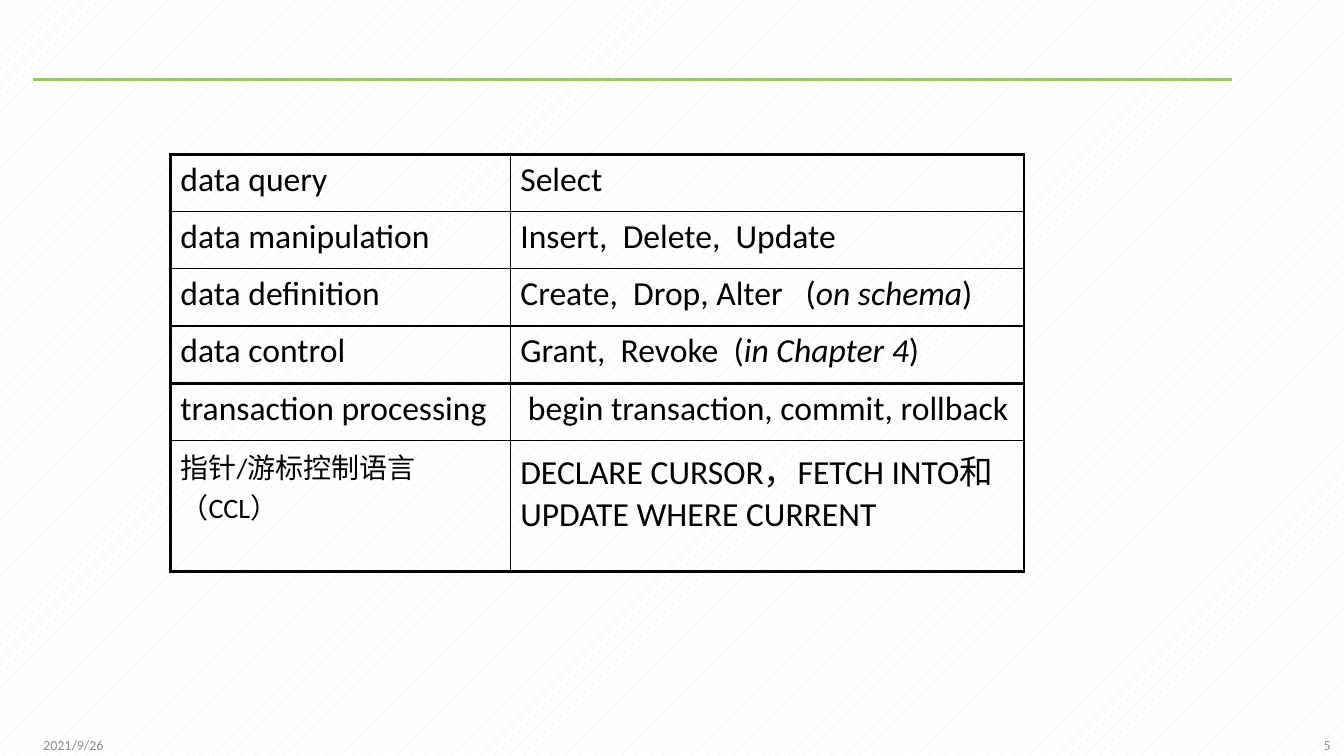
from dataclasses import dataclass

from lxml.etree import SubElement
from pptx import Presentation
from pptx.dml.color import RGBColor
from pptx.enum.dml import MSO_PATTERN
from pptx.enum.shapes import MSO_CONNECTOR
from pptx.enum.text import MSO_ANCHOR, PP_ALIGN
from pptx.oxml.ns import qn
from pptx.util import Pt


@dataclass(frozen=True)
class Theme:
    font: str = "Calibri"
    ink: str = "000000"
    muted: str = "8C8C8C"
    accent: str = "92D050"
    paper: str = "FFFFFF"
    pattern: str = "DCECE0"
    body_size: float = 24
    small_size: float = 20
    footer_size: float = 10
    thick: float = 2.25
    thin: float = 1


class SlideBuilder:
    def __init__(self, slide, theme):
        self.slide = slide
        self.theme = theme

    def background(self):
        fill = self.slide.background.fill
        fill.patterned()
        fill.pattern = MSO_PATTERN.PERCENT_5
        fill.fore_color.rgb = RGBColor.from_string(self.theme.pattern)
        fill.back_color.rgb = RGBColor.from_string(self.theme.paper)

    def rule(self, left, right, top):
        connector = self.slide.shapes.add_connector(
            MSO_CONNECTOR.STRAIGHT, Pt(left), Pt(top), Pt(right), Pt(top))
        connector.line.color.rgb = RGBColor.from_string(self.theme.accent)
        connector.line.width = Pt(self.theme.thick)
        SubElement(connector._element.spPr, qn("a:effectLst"))

    def add_run(self, paragraph, text, size, color, italic=False):
        run = paragraph.add_run()
        run.text = text
        run.font.name = self.theme.font
        run.font.size = Pt(size)
        run.font.italic = italic
        run.font.color.rgb = RGBColor.from_string(color)

    def footer(self, text, left, alignment):
        shape = self.slide.shapes.add_textbox(Pt(left), Pt(517.7), Pt(216), Pt(28.8))
        frame = shape.text_frame
        frame.word_wrap = True
        frame.vertical_anchor = MSO_ANCHOR.MIDDLE
        paragraph = frame.paragraphs[0]
        paragraph.alignment = alignment
        self.add_run(paragraph, text, self.theme.footer_size, self.theme.muted)

    def border(self, cell, side, width):
        line = SubElement(cell._tc.get_or_add_tcPr(), qn(f"a:{side}"),
                          w=str(Pt(width)), cap="flat", cmpd="sng")
        fill = SubElement(line, qn("a:solidFill"))
        SubElement(fill, qn("a:srgbClr"), val=self.theme.ink)

    def table(self, left, top, widths, heights, rows, thick_rules):
        theme = self.theme
        table = self.slide.shapes.add_table(
            len(rows), len(widths), Pt(left), Pt(top),
            Pt(sum(widths)), Pt(sum(heights))).table
        table.first_row = table.horz_banding = False
        for column, width in zip(table.columns, widths):
            column.width = Pt(width)
        for row, height in zip(table.rows, heights):
            row.height = Pt(height)
        for r, row in enumerate(rows):
            for c, (size, *runs) in enumerate(row):
                cell = table.cell(r, c)
                # Heavy frame, light inner rules
                heavy = {"lnL": c == 0, "lnR": c == len(widths) - 1,
                         "lnT": r in thick_rules, "lnB": r + 1 in thick_rules}
                for side, is_heavy in heavy.items():
                    self.border(cell, side, theme.thick if is_heavy else theme.thin)
                cell.fill.background()
                # Every second run is italic
                for index, text in enumerate(runs):
                    self.add_run(cell.text_frame.paragraphs[0], text, size,
                                 theme.ink, italic=index % 2 == 1)


def main():
    presentation = Presentation()
    presentation.slide_width, presentation.slide_height = Pt(960), Pt(540)
    slide = presentation.slides.add_slide(presentation.slide_layouts[6])
    theme = Theme()
    builder = SlideBuilder(slide, theme)

    # Backdrop and header rule
    builder.background()
    builder.rule(left=23.8, right=879.8, top=56.9)

    # Date and slide number
    builder.footer("2021/9/26", 23.8, PP_ALIGN.LEFT)
    builder.footer("5", 741.6, PP_ALIGN.RIGHT)

    # SQL statements by category
    body, small = theme.body_size, theme.small_size
    statements = [
        [(body, "data query"), (body, "Select")],
        [(body, "data manipulation"), (body, "Insert,  Delete,  Update")],
        [(body, "data definition"),
         (body, "Create,  Drop, Alter   (", "on schema", ")")],
        [(body, "data control"), (body, "Grant,  Revoke  (", "in Chapter 4", ")")],
        [(body, "transaction processing"),
         (body, " begin transaction, commit, rollback")],
        [(small, "指针/游标控制语言（CCL）"),
         (body, "DECLARE CURSOR，FETCH INTO和UPDATE WHERE CURRENT")],
    ]
    builder.table(left=121.7, top=110.2, widths=[242.8, 367],
                  heights=[40.9] * 5 + [93.6], rows=statements,
                  thick_rules={0, 4, 6})

    presentation.save("out.pptx")


if __name__ == "__main__":
    main()
